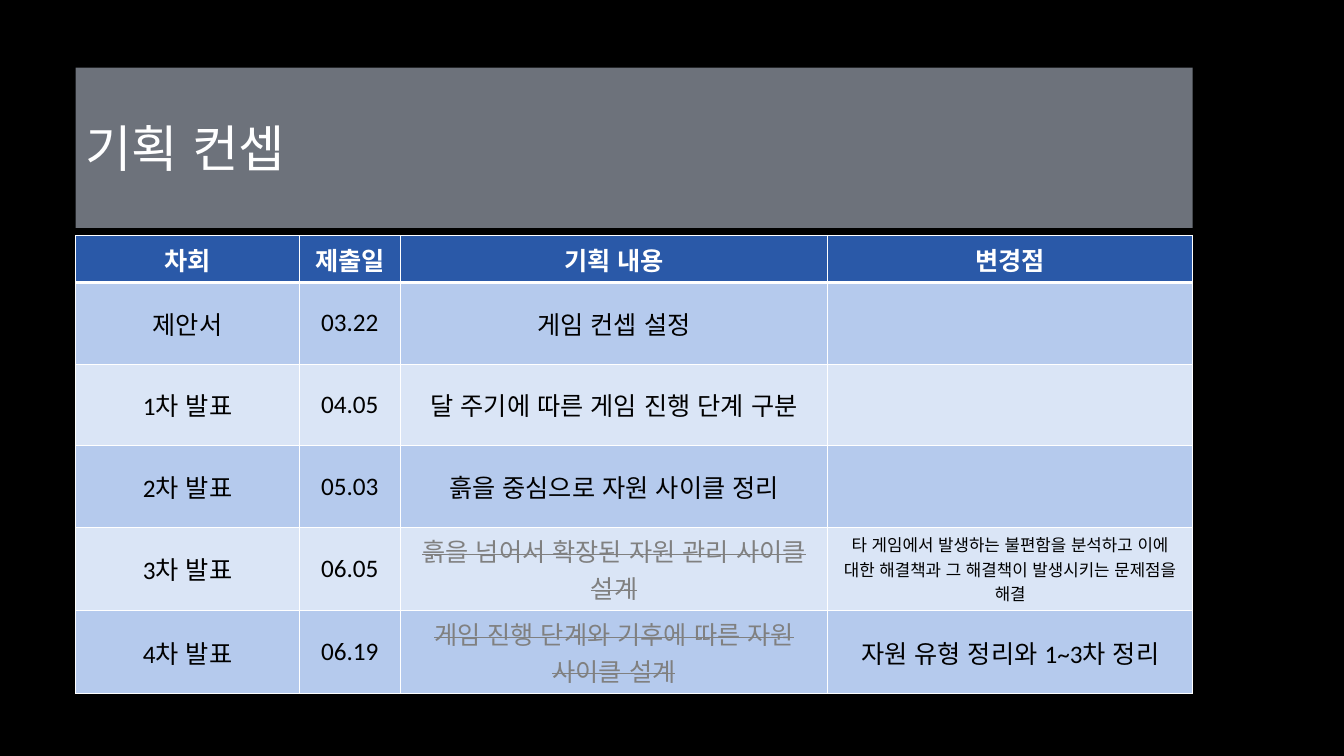
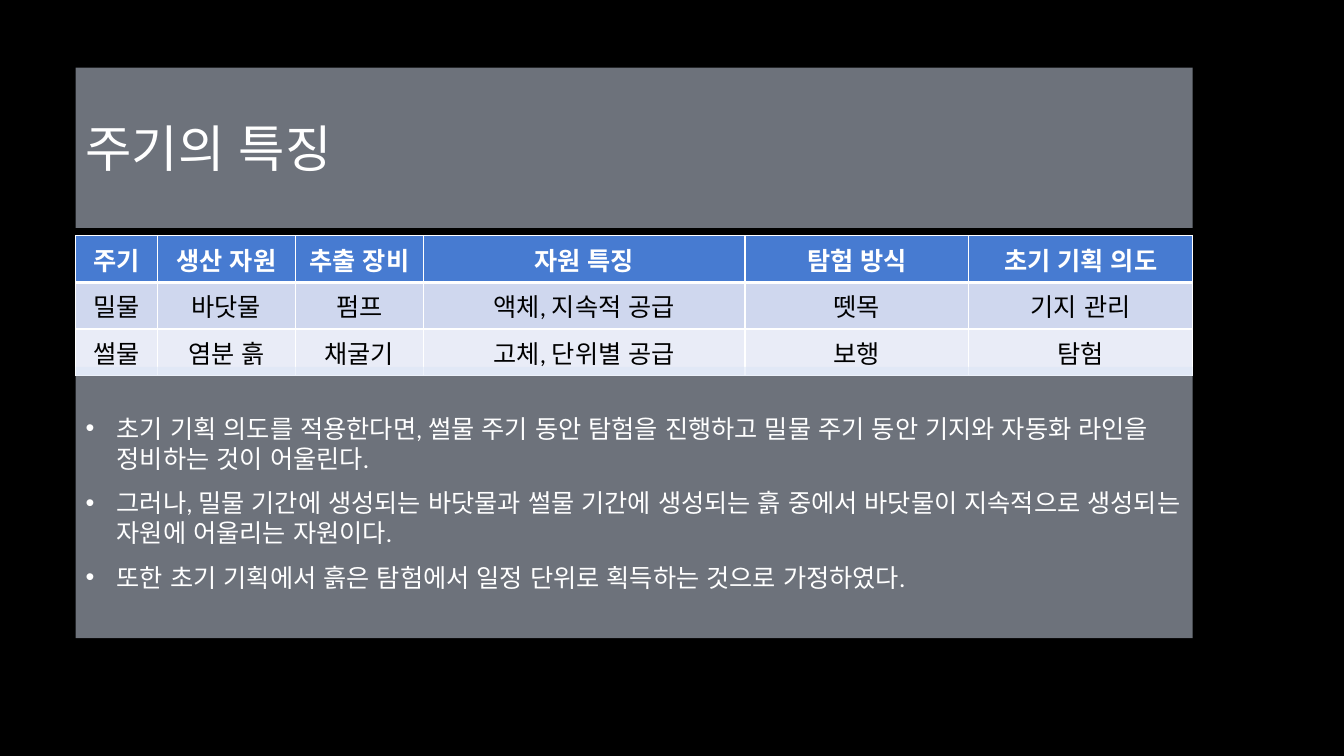
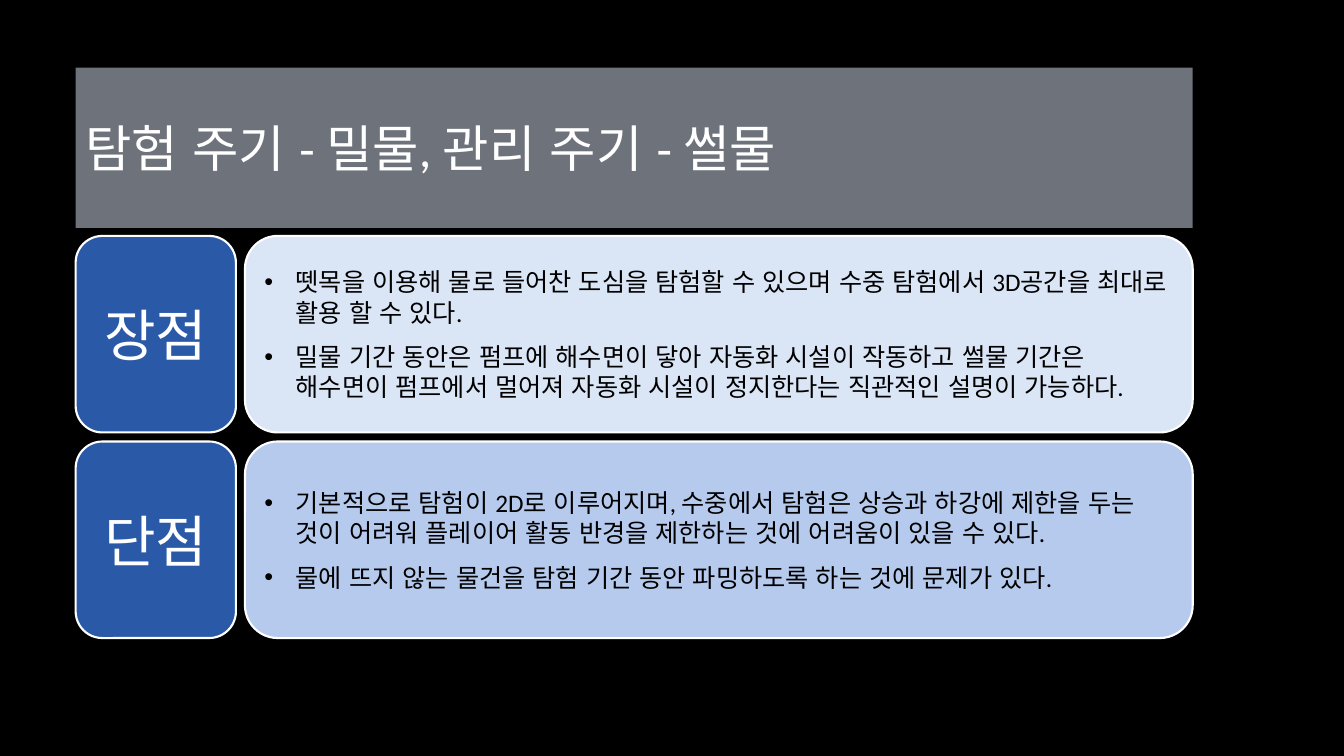
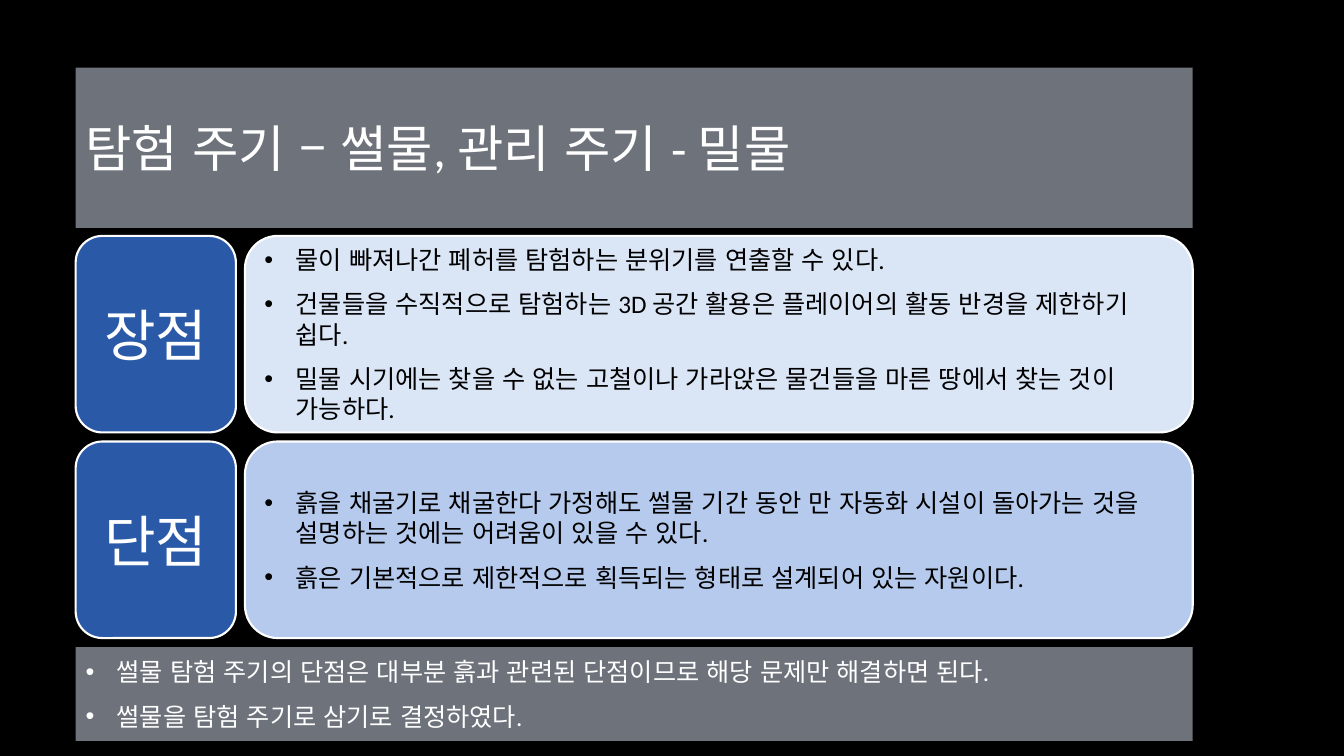
from lxml import etree
from pptx import Presentation
from pptx.dml.color import RGBColor
from pptx.enum import lang, shapes, text
from pptx.oxml import ns
from pptx.util import Inches, Pt

COLORS = {
    "black": "000000", "white": "FFFFFF", "dropped": "808080",
    "navy": "2A59A8", "sky": "B5CAED", "pale": "DAE5F6",
    "blue": "477BD1", "lilac": "CFD7EE", "mist": "E9ECF7",
}
FONT = "Calibri"
LEFT, WIDTH = 0.75, 11.08
TITLE_TOP, TITLE_HEIGHT = 0.67, 1.59
CONTENT_TOP = 2.34
GAP = 0.09
LABEL_WIDTH, CARD_HEIGHT = 1.59, 1.95
RECT = shapes.MSO_SHAPE.RECTANGLE
ROUNDED = shapes.MSO_SHAPE.ROUNDED_RECTANGLE


def write(frame, lines, size=18, color="white", bold=False, strike=False,
          align=text.PP_ALIGN.LEFT, bullets=False):
    """Fill a text frame with one paragraph per line."""
    frame.word_wrap = True
    for number, line in enumerate(lines):
        paragraph = frame.paragraphs[0] if number == 0 else frame.add_paragraph()
        paragraph.alignment = align
        if bullets:
            paragraph.space_after = Pt(10)
            properties = paragraph._p.get_or_add_pPr()
            properties.set("marL", str(Inches(0.31)))
            properties.set("indent", str(-Inches(0.31)))
            etree.SubElement(properties, ns.qn("a:buFont")).set("typeface", "Arial")
            etree.SubElement(properties, ns.qn("a:buChar")).set("char", "•")
        run = paragraph.add_run()
        run.text = line
        run.font.name = FONT
        run.font.size = Pt(size)
        run.font.bold = bold
        run.font.language_id = lang.MSO_LANGUAGE_ID.KOREAN
        run.font.color.rgb = RGBColor.from_string(COLORS[color])
        if strike:
            run._r.get_or_add_rPr().set("strike", "sngStrike")


def add_panel(slide, kind, left, top, width, height, lines, fill="pale", **text_format):
    """Square panels are half transparent; rounded cards have a white outline."""
    panel = slide.shapes.add_shape(
        kind, Inches(left), Inches(top), Inches(width), Inches(height))
    panel.shadow.inherit = False
    panel.fill.solid()
    panel.fill.fore_color.rgb = RGBColor.from_string(COLORS[fill])
    if kind == RECT:
        panel.line.fill.background()
        tint = panel._element.spPr.find(".//" + ns.qn("a:srgbClr"))
        etree.SubElement(tint, ns.qn("a:alpha")).set("val", "50000")
    else:
        panel.line.color.rgb = RGBColor.from_string(COLORS["white"])
        panel.line.width = Pt(1.5)
    panel.text_frame.vertical_anchor = text.MSO_ANCHOR.MIDDLE
    write(panel.text_frame, lines, **text_format)


prs = Presentation()
prs.slide_width, prs.slide_height = Inches(13.33), Inches(7.5)
backdrop = prs.slide_master.background.fill
backdrop.solid()
backdrop.fore_color.rgb = RGBColor.from_string(COLORS["black"])

# Slides and title bands
titles = ["기획 컨셉", "주기의 특징",
          "탐험 주기 - 밀물, 관리 주기 - 썰물", "탐험 주기 – 썰물, 관리 주기 - 밀물"]
slides = []
for title in titles:
    slide = prs.slides.add_slide(prs.slide_layouts[6])
    add_panel(slide, RECT, LEFT, TITLE_TOP, WIDTH, TITLE_HEIGHT, [title], size=36)
    slides.append(slide)
plan_slide, cycle_slide, flood_slide, ebb_slide = slides

# Tables: slide, column widths, row heights, header and band fills, rows
plan_rows = [
    ["차회", "제출일", "기획 내용", "변경점"],
    ["제안서", "03.22", "게임 컨셉 설정", ""],
    ["1차 발표", "04.05", "달 주기에 따른 게임 진행 단계 구분", ""],
    ["2차 발표", "05.03", "흙을 중심으로 자원 사이클 정리", ""],
    ["3차 발표", "06.05", "흙을 넘어서 확장된 자원 관리 사이클 설계",
     "타 게임에서 발생하는 불편함을 분석하고 이에 대한 해결책과 그 해결책이 발생시키는 문제점을 해결"],
    ["4차 발표", "06.19", "게임 진행 단계와 기후에 따른 자원 사이클 설계", "자원 유형 정리와 1~3차 정리"],
]
cycle_rows = [
    ["주기", "생산 자원", "추출 장비", "자원 특징", "탐험 방식", "초기 기획 의도"],
    ["밀물", "바닷물", "펌프", "액체, 지속적 공급", "뗏목", "기지 관리"],
    ["썰물", "염분 흙", "채굴기", "고체, 단위별 공급", "보행", "탐험"],
]
dropped = {"color": "dropped", "strike": True}
plan_formats = {(4, 2): dropped, (5, 2): dropped, (4, 3): {"size": 12}}
tables = [
    (plan_slide, [2.22, 1.0, 4.24, 3.62], [0.46] + [0.81] * 5,
     "navy", ["sky", "pale"], plan_rows, plan_formats),
    (cycle_slide, [0.81, 1.37, 1.27, 3.19, 2.22, 2.22], [0.41] * 3,
     "blue", ["lilac", "mist"], cycle_rows, {}),
]
for slide, widths, heights, header_fill, bands, rows, formats in tables:
    table = slide.shapes.add_table(
        len(rows), len(widths), Inches(LEFT), Inches(CONTENT_TOP),
        Inches(WIDTH), Inches(sum(heights))).table
    table.horz_banding = False
    for column, width in zip(table.columns, widths):
        column.width = Inches(width)
    for r, values in enumerate(rows):
        table.rows[r].height = Inches(heights[r])
        for c, value in enumerate(values):
            cell = table.cell(r, c)
            cell.vertical_anchor = text.MSO_ANCHOR.MIDDLE
            # White rules, thick below the header
            for side in ("lnL", "lnR", "lnT", "lnB"):
                thick = (r, side) in ((0, "lnB"), (1, "lnT"))
                rule = etree.SubElement(cell._tc.get_or_add_tcPr(), ns.qn("a:" + side))
                rule.set("w", str(Pt(3 if thick else 1)))
                paint = etree.SubElement(rule, ns.qn("a:solidFill"))
                etree.SubElement(paint, ns.qn("a:srgbClr")).set("val", COLORS["white"])
            cell.fill.solid()
            fill = header_fill if r == 0 else bands[(r - 1) % 2]
            cell.fill.fore_color.rgb = RGBColor.from_string(COLORS[fill])
            if value:
                cell_format = {"color": "white" if r == 0 else "black", "bold": r == 0,
                               "align": text.PP_ALIGN.CENTER, **formats.get((r, c), {})}
                write(cell.text_frame, [value], **cell_format)

# Advantages and drawbacks
comparisons = [
    (flood_slide, [
        ["뗏목을 이용해 물로 들어찬 도심을 탐험할 수 있으며 수중 탐험에서 3D공간을 최대로 활용 할 수 있다.",
         "밀물 기간 동안은 펌프에 해수면이 닿아 자동화 시설이 작동하고 썰물 기간은 해수면이 펌프에서 멀어져 자동화 시설이 정지한다는 직관적인 설명이 가능하다."],
        ["기본적으로 탐험이 2D로 이루어지며, 수중에서 탐험은 상승과 하강에 제한을 두는 것이 어려워 플레이어 활동 반경을 제한하는 것에 어려움이 있을 수 있다.",
         "물에 뜨지 않는 물건을 탐험 기간 동안 파밍하도록 하는 것에 문제가 있다."],
    ]),
    (ebb_slide, [
        ["물이 빠져나간 폐허를 탐험하는 분위기를 연출할 수 있다.",
         "건물들을 수직적으로 탐험하는 3D 공간 활용은 플레이어의 활동 반경을 제한하기 쉽다.",
         "밀물 시기에는 찾을 수 없는 고철이나 가라앉은 물건들을 마른 땅에서 찾는 것이 가능하다."],
        ["흙을 채굴기로 채굴한다 가정해도 썰물 기간 동안 만 자동화 시설이 돌아가는 것을 설명하는 것에는 어려움이 있을 수 있다.",
         "흙은 기본적으로 제한적으로 획득되는 형태로 설계되어 있는 자원이다."],
    ]),
]
points_left = LEFT + LABEL_WIDTH + GAP
points_width = WIDTH - LABEL_WIDTH - GAP
for slide, point_groups in comparisons:
    for i, (label, points) in enumerate(zip(["장점", "단점"], point_groups)):
        top = CONTENT_TOP + i * (CARD_HEIGHT + GAP)
        add_panel(slide, ROUNDED, LEFT, top, LABEL_WIDTH, CARD_HEIGHT, [label],
                  fill="navy", size=40, align=text.PP_ALIGN.CENTER)
        add_panel(slide, ROUNDED, points_left, top, points_width, CARD_HEIGHT, points,
                  fill=["pale", "sky"][i], color="black", bullets=True)

# Conclusions
conclusions = [
    (cycle_slide, 3.64, 2.69, [
        "초기 기획 의도를 적용한다면, 썰물 주기 동안 탐험을 진행하고 밀물 주기 동안 기지와 자동화 라인을 정비하는 것이 어울린다.",
        "그러나, 밀물 기간에 생성되는 바닷물과 썰물 기간에 생성되는 흙 중에서 바닷물이 지속적으로 생성되는 자원에 어울리는 자원이다.",
        "또한 초기 기획에서 흙은 탐험에서 일정 단위로 획득하는 것으로 가정하였다."]),
    (ebb_slide, 6.42, 0.93, [
        "썰물 탐험 주기의 단점은 대부분 흙과 관련된 단점이므로 해당 문제만 해결하면 된다.",
        "썰물을 탐험 주기로 삼기로 결정하였다."]),
]
for slide, top, height, remarks in conclusions:
    add_panel(slide, RECT, LEFT, top, WIDTH, height, remarks, bullets=True)

prs.save("out.pptx")
